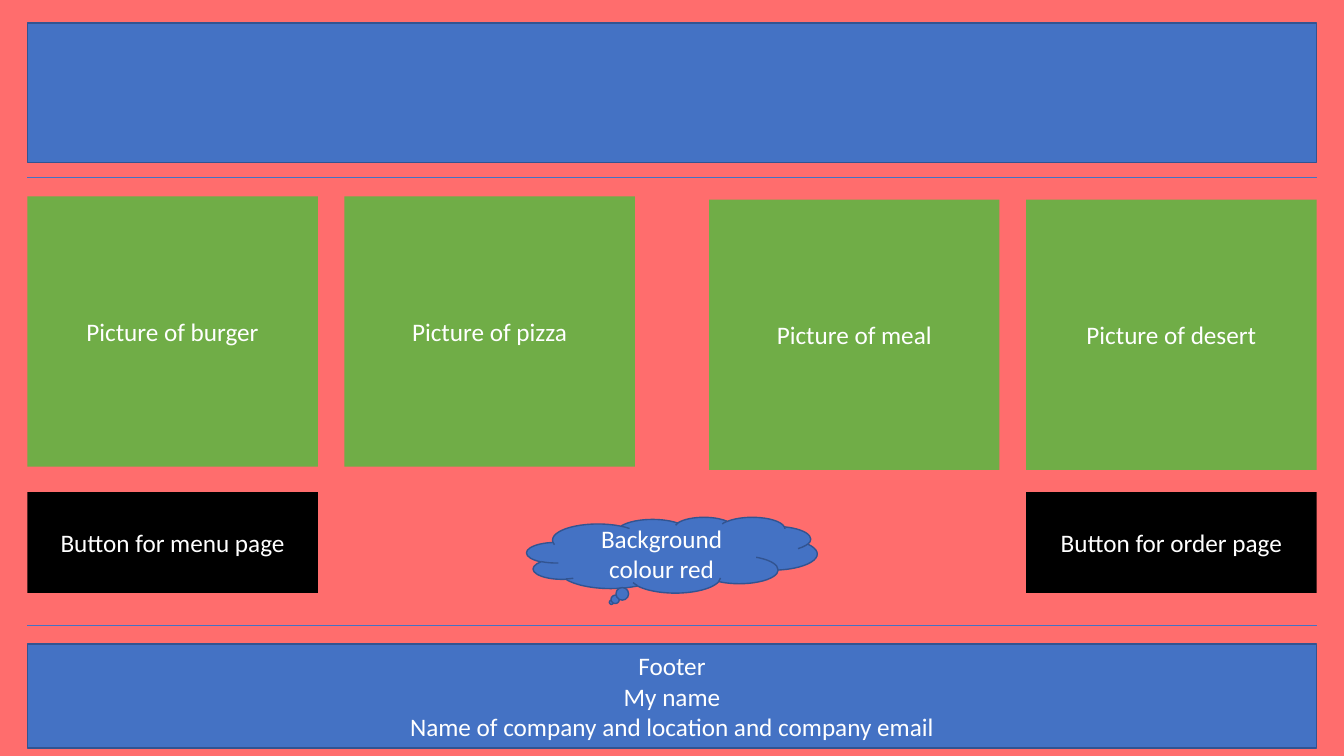
from dataclasses import dataclass
from lxml import etree
from pptx import Presentation
from pptx.dml.color import RGBColor
from pptx.enum.shapes import MSO_CONNECTOR, MSO_SHAPE
from pptx.enum.text import MSO_ANCHOR, PP_ALIGN
from pptx.oxml.ns import qn
from pptx.util import Cm, Pt


@dataclass(frozen=True)
class Theme:
    back: str = "FF6D6D"
    blue: str = "4472C4"
    edge: str = "325491"
    green: str = "70AD47"
    black: str = "000000"
    white: str = "FFFFFF"
    font: str = "Calibri"
    size: int = 18
    border: float = 1
    rule: float = 0.5


@dataclass(frozen=True)
class Box:
    left: float
    top: float
    width: float
    height: float

    @property
    def right(self):
        return self.left + self.width


theme = Theme()


def color(code):
    return RGBColor.from_string(code)


def add_block(slide, box, fill, lines=(), edge=None, kind=MSO_SHAPE.RECTANGLE):
    shape = slide.shapes.add_shape(
        kind, Cm(box.left), Cm(box.top), Cm(box.width), Cm(box.height))
    shape.shadow.inherit = False
    shape.fill.solid()
    shape.fill.fore_color.rgb = color(fill)
    if edge:
        shape.line.color.rgb = color(edge)
        shape.line.width = Pt(theme.border)
    else:
        shape.line.fill.background()
    frame = shape.text_frame
    frame.word_wrap = True
    frame.vertical_anchor = MSO_ANCHOR.MIDDLE
    frame.text = "\n".join(lines)
    for para in frame.paragraphs:
        para.alignment = PP_ALIGN.CENTER
        para.font.name = theme.font
        para.font.size = Pt(theme.size)
        para.font.color.rgb = color(theme.white)


def add_rule(slide, box):
    rule = slide.shapes.add_connector(
        MSO_CONNECTOR.STRAIGHT, Cm(box.left), Cm(box.top), Cm(box.right), Cm(box.top))
    rule.line.color.rgb = color(theme.blue)
    rule.line.width = Pt(theme.rule)
    etree.SubElement(rule._element.spPr, qn("a:effectLst"))


def add_header(slide, box):
    add_block(slide, box, theme.blue, edge=theme.edge)


def add_photos(slide, box, width, gap, drop):
    step = width + gap
    height = box.height - drop
    lefts = (box.left, box.left + step, box.right - width - step, box.right - width)
    names = ("burger", "pizza", "meal", "desert")
    for index, (left, name) in enumerate(zip(lefts, names)):
        top = box.top + drop * (index // 2)
        add_block(slide, Box(left, top, width, height), theme.green, [f"Picture of {name}"])


def add_buttons(slide, box, width):
    for left, name in ((box.left, "menu"), (box.right - width, "order")):
        spot = Box(left, box.top, width, box.height)
        add_block(slide, spot, theme.black, [f"Button for {name} page"])
    height = 1.91
    cloud = Box(box.left + (box.width - width) / 2, box.top + box.height - height, width, height)
    add_block(slide, cloud, theme.blue, ["Background colour red"],
              theme.edge, MSO_SHAPE.CLOUD_CALLOUT)


def add_footer(slide, box):
    lines = ("Footer", "My name", "Name of company and location and company email")
    add_block(slide, box, theme.blue, lines, theme.edge)


def add_page(deck):
    slide = deck.slides.add_slide(deck.slide_layouts[6])
    slide.background.fill.solid()
    slide.background.fill.fore_color.rgb = color(theme.back)
    left, width, card = 0.69, 32.49, 7.32
    add_header(slide, Box(left, 0.58, width, 3.51))
    add_photos(slide, Box(left, 4.95, width, 6.89), card, 0.67, 0.08)
    add_buttons(slide, Box(left, 12.4, width, 2.54), card)
    for top in (4.47, 15.75):
        add_rule(slide, Box(left, top, width, 0))
    add_footer(slide, Box(left, 16.23, width, 2.62))


deck = Presentation()
deck.slide_width, deck.slide_height = Cm(33.87), Cm(19.05)
add_page(deck)
deck.save("out.pptx")
